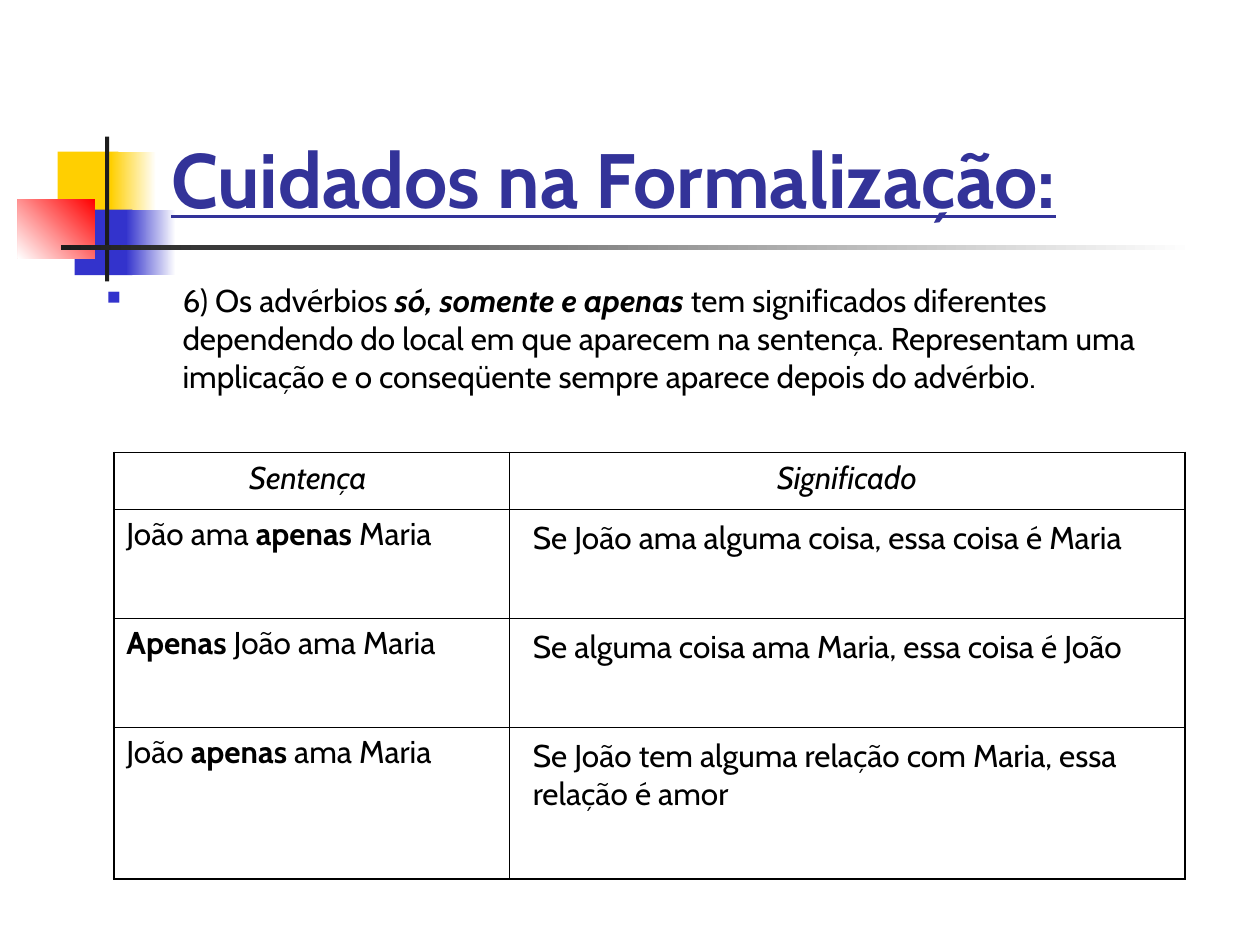
import pptx
import pptx.dml.color
import pptx.enum.shapes
import pptx.enum.text
import pptx.oxml
import pptx.oxml.ns
import pptx.util
from lxml import etree

Pt = pptx.util.Pt
ALIGN = pptx.enum.text.PP_ALIGN
ANCHOR = pptx.enum.text.MSO_ANCHOR
FONT = "Cabin"
COLORS = {
    "yellow": "FFCF01", "blue": "3333CC", "red": "FF0000", "ink": "1C1C1C",
    "title": "333399", "text": "000000", "white": "FFFFFF",
}
THIN, THICK = 0.45, 1.08


def rgb(name):
    return pptx.dml.color.RGBColor.from_string(COLORS[name])


def add_xml(parent, tag, **attributes):
    child = etree.SubElement(parent, pptx.oxml.ns.qn(tag))
    for key, value in attributes.items():
        child.set(key, str(value))
    return child


def write_text(frame, pieces, size=18, color="text", align=ALIGN.LEFT,
               anchor=ANCHOR.TOP, space_before=0, underline=None):
    """Fill the frame with one paragraph; pieces are (text, style), style using b and i."""
    frame.word_wrap = True
    frame.vertical_anchor = anchor
    paragraph = frame.paragraphs[0]
    paragraph.alignment = align
    paragraph.space_before = Pt(space_before)
    for text, style in pieces:
        run = paragraph.add_run()
        run.text = text
        font = run.font
        font.name, font.size, font.underline = FONT, Pt(size), underline
        font.bold, font.italic = "b" in style, "i" in style
        font.color.rgb = rgb(color)
    return paragraph


def add_text(slide, box, pieces, **text_format):
    shape = slide.shapes.add_textbox(*map(Pt, box))
    return write_text(shape.text_frame, pieces, **text_format)


def add_block(slide, box, start, end=None, angle=0):
    """Draw a rectangle, solid or fading from start to end."""
    shape = slide.shapes.add_shape(
        pptx.enum.shapes.MSO_SHAPE.RECTANGLE, *map(Pt, box))
    shape.shadow.inherit = False
    shape.line.fill.background()
    if end is None:
        shape.fill.solid()
        shape.fill.fore_color.rgb = rgb(start)
        return
    shape.fill.gradient()
    shape.fill.gradient_angle = angle
    for stop, color in zip(shape.fill.gradient_stops, (start, end)):
        stop.color.rgb = rgb(color)


def add_emblem(slide, left, top):
    """Place the coloured squares and the crossing bars."""
    blocks = [
        ((23, 8.6, 34.6, 37.4), "yellow"),
        ((53.3, 8.6, 25.9, 37.4), "white", "yellow", 180),
        ((32.6, 41.8, 33.1, 37.4), "blue"),
        ((62, 41.8, 28.5, 37.4), "white", "blue", 180),
        ((0, 36, 44.3, 33.5), "red", "white", 225),
        ((50, 0, 2.4, 82.8), "ink"),
        ((25, 62.2, 648, 2.4), "white", "ink", 180),
    ]
    for (x, y, width, height), *fill in blocks:
        add_block(slide, (left + x, top + y, width, height), *fill)


def add_bullet_text(slide, box, pieces):
    paragraph = add_text(slide, box, pieces, space_before=4.5)
    properties = paragraph._p.get_or_add_pPr()
    indent = Pt(43.2)
    properties.set("marL", str(indent))
    properties.set("indent", str(-indent))
    bullet_color = add_xml(properties, "a:buClr")
    add_xml(bullet_color, "a:srgbClr", val=COLORS["blue"])
    add_xml(properties, "a:buSzPct", val=60000)
    add_xml(properties, "a:buChar", char="■")


def set_borders(cell, widths):
    """Draw the borders; widths are left, right, top, bottom."""
    properties = cell._tc.get_or_add_tcPr()
    for index, (side, width) in enumerate(zip("LRTB", widths)):
        line = pptx.oxml.parse_xml(
            f'<a:ln{side} {pptx.oxml.ns.nsdecls("a")} w="{Pt(width)}"><a:solidFill>'
            f'<a:srgbClr val="{COLORS["text"]}"/></a:solidFill></a:ln{side}>')
        properties.insert(index, line)


def add_meaning_table(slide, left, top, headers, sentences, meanings):
    """Place the grid, with the meanings in text boxes over the second column."""
    widths, heights = (226, 386), (32.5, 62.3, 62.3, 86.9)
    table = slide.shapes.add_table(
        len(heights), len(widths), Pt(left), Pt(top),
        Pt(sum(widths)), Pt(sum(heights))).table
    table.first_row = table.horz_banding = False
    for column, width in zip(table.columns, widths):
        column.width = Pt(width)
    for row, height in zip(table.rows, heights):
        row.height = Pt(height)

    last_row, last_column = len(heights) - 1, len(widths) - 1
    for r in range(len(heights)):
        for c in range(len(widths)):
            cell = table.cell(r, c)
            cell.fill.background()
            outer = (c == 0, c == last_column, r == 0, r == last_row)
            set_borders(cell, [THICK if edge else THIN for edge in outer])
    for c, header in enumerate(headers):
        write_text(table.cell(0, c).text_frame, [(header, "i")],
                   align=ALIGN.CENTER, space_before=4.5)
    for r, sentence in enumerate(sentences, 1):
        write_text(table.cell(r, 0).text_frame, sentence, space_before=4.5)
    for r, meaning in enumerate(meanings, 1):
        y = top + sum(heights[:r]) + 1.6
        add_text(slide, (left + widths[0] + 6.4, y, 391, 50), [(meaning, "")])


def main():
    presentation = pptx.Presentation()
    presentation.slide_width, presentation.slide_height = Pt(720), Pt(540)
    slide = presentation.slides.add_slide(presentation.slide_layouts[6])

    add_emblem(slide, 10, 78)
    add_text(slide, (90.7, 16.5, 613.4, 115.2), [("Cuidados na Formalização:", "b")],
             size=44, color="title", anchor=ANCHOR.BOTTOM, underline=True)
    add_bullet_text(slide, (54, 157, 651.6, 383), [
        ("6) Os advérbios ", ""),
        ("só, somente e apenas", "bi"),
        (" tem significados diferentes dependendo do local em que aparecem na "
         "sentença. Representam uma implicação e o conseqüente sempre aparece "
         "depois do advérbio.", ""),
    ])
    add_meaning_table(
        slide, 65, 258.5,
        headers=["Sentença ", "Significado"],
        sentences=[
            [("João ama ", ""), ("apenas", "b"), (" Maria", "")],
            [("Apenas", "b"), (" João ama Maria", "")],
            [("João ", ""), ("apenas", "b"), (" ama Maria", "")],
        ],
        meanings=[
            "Se João ama alguma coisa, essa coisa é Maria",
            "Se alguma coisa ama Maria, essa coisa é João",
            "Se João tem alguma relação com Maria, essa relação é amor",
        ])
    presentation.save("out.pptx")


if __name__ == "__main__":
    main()
